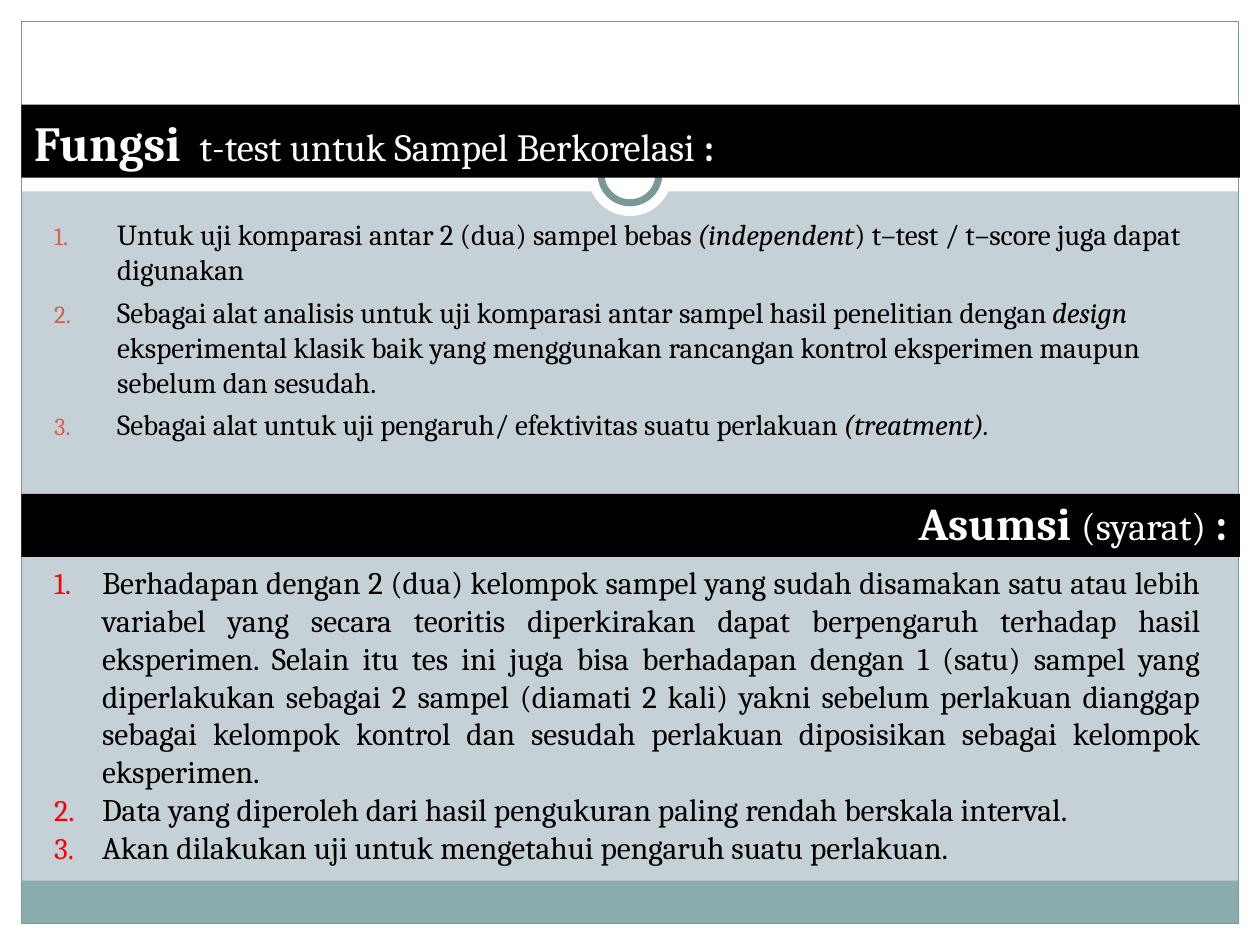
from dataclasses import dataclass

from lxml import etree
from pptx import Presentation
from pptx.dml.color import RGBColor
from pptx.enum.dml import MSO_LINE
from pptx.enum.shapes import MSO_CONNECTOR, MSO_SHAPE
from pptx.enum.text import MSO_ANCHOR, MSO_AUTO_SIZE, PP_ALIGN
from pptx.oxml.ns import qn
from pptx.util import Inches, Pt

RECTANGLE, OVAL = MSO_SHAPE.RECTANGLE, MSO_SHAPE.OVAL
STRAIGHT, DASHED = MSO_CONNECTOR.STRAIGHT, MSO_LINE.SQUARE_DOT
LEFT, RIGHT, JUSTIFY = PP_ALIGN.LEFT, PP_ALIGN.RIGHT, PP_ALIGN.JUSTIFY
TOP, BOTTOM, NO_FIT = MSO_ANCHOR.TOP, MSO_ANCHOR.BOTTOM, MSO_AUTO_SIZE.NONE


@dataclass(frozen=True)
class Theme:
    font: str = "Cambria"
    paper: str = "C5D1D7"
    white: str = "FFFFFF"
    black: str = "000000"
    band: str = "8CADAE"
    rule: str = "7B9899"
    orange: str = "D16349"
    red: str = "FF0000"
    heading: float = 28
    subheading: float = 26
    detail: float = 22
    functions: float = 16.6
    assumptions: float = 18
    hairline: float = 0.74
    ring: float = 4


THEME = Theme()
TWO_CONTENT = 3
WIDTH, HEIGHT, MARGIN = 10, 7.5, 0.17

FUNCTIONS = [
    [("Untuk uji komparasi antar 2 (dua) sampel bebas ", {}),
     ("(independent", {"italic": True}),
     (") t–test / t–score juga dapat digunakan ", {})],
    [("Sebagai alat analisis untuk uji komparasi antar sampel hasil penelitian dengan ", {}),
     ("design", {"italic": True}),
     (" eksperimental klasik baik yang menggunakan rancangan kontrol eksperimen "
      "maupun sebelum dan sesudah. ", {})],
    [("Sebagai alat untuk uji pengaruh/ efektivitas suatu perlakuan ", {}),
     ("(treatment). ", {"italic": True})],
]
ASSUMPTIONS = [
    [("Berhadapan dengan 2 (dua) kelompok sampel yang sudah disamakan satu atau lebih "
      "variabel yang secara teoritis diperkirakan dapat berpengaruh terhadap hasil "
      "eksperimen. Selain itu tes ini juga bisa berhadapan dengan 1 (satu) sampel yang "
      "diperlakukan sebagai 2 sampel (diamati 2 kali) yakni sebelum perlakuan dianggap "
      "sebagai kelompok kontrol dan sesudah perlakuan diposisikan sebagai kelompok "
      "eksperimen.", {})],
    [("Data yang diperoleh dari hasil pengukuran paling rendah berskala interval.", {})],
    [("Akan dilakukan uji untuk mengetahui pengaruh suatu perlakuan.", {})],
]
HEADING = [
    ("Fungsi ", {"size": Pt(THEME.heading), "bold": True}),
    (" t-test untuk Sampel Berkorelasi ", {"size": Pt(THEME.detail), "bold": False}),
    (":", {"size": Pt(THEME.detail), "bold": True}),
]
SUBHEADING = [
    ("Asumsi ", {"size": Pt(THEME.subheading), "bold": True}),
    ("(syarat) ", {"size": Pt(THEME.detail), "bold": False}),
    (":", {"size": Pt(THEME.subheading), "bold": True}),
]


def apply(target, values):
    for name, value in values.items():
        setattr(target, name, value)


def color(value):
    return RGBColor.from_string(value)


def place(part, box):
    apply(part, dict(zip(("left", "top", "width", "height"), map(Inches, box))))


def paint(part, fill=None, line=None, weight=THEME.hairline):
    if fill:
        part.fill.solid()
        part.fill.fore_color.rgb = color(fill)
    else:
        part.fill.background()
    if line:
        part.line.color.rgb = color(line)
        part.line.width = Pt(weight)
    else:
        part.line.fill.background()


def add_panel(slide, box, preset=RECTANGLE, **paint_values):
    panel = slide.shapes.add_shape(preset, *map(Inches, box))
    panel.shadow.inherit = False
    paint(panel, **paint_values)
    return panel


def bring_forward(part):
    part.element.getparent().append(part.element)


def write_runs(paragraph, runs, ink, size=None):
    for text, values in runs:
        run = paragraph.add_run()
        run.text = text
        apply(run.font, {"name": THEME.font, "size": size, **values})
        run.font.color.rgb = color(ink)


def number(paragraph, ink, percent, indent):
    properties = paragraph._p.get_or_add_pPr()
    properties.set("marL", str(Inches(indent)))
    properties.set("indent", str(-Inches(indent)))
    bullet_color = etree.SubElement(properties, qn("a:buClr"))
    for parent, tag, values in (
        (bullet_color, "a:srgbClr", {"val": ink}),
        (properties, "a:buSzPct", {"val": str(percent * 1000)}),
        (properties, "a:buFont", {"typeface": THEME.font}),
        (properties, "a:buAutoNum", {"type": "arabicPeriod"}),
    ):
        etree.SubElement(parent, qn(tag), values)


def draw_backdrop(slide, width, height):
    slide.background.fill.solid()
    slide.background.fill.fore_color.rgb = color(THEME.paper)
    inner_width, inner_height = width - 2 * MARGIN, height - 2 * MARGIN
    for box in (
        (0, height - MARGIN, width, MARGIN),
        (0, 0, width, 1.52),
        (0, 0, MARGIN, height),
        (width - MARGIN, 0, MARGIN, height),
    ):
        add_panel(slide, box, fill=THEME.white)
    add_panel(slide, (MARGIN, 6.99, inner_width, 0.34), fill=THEME.band)
    add_panel(slide, (MARGIN, MARGIN, inner_width, inner_height), line=THEME.rule)
    divider = slide.shapes.add_connector(
        STRAIGHT, *map(Inches, (MARGIN, 1.4, width - MARGIN, 1.4)))
    divider.line.color.rgb = color(THEME.rule)
    apply(divider.line, {"width": Pt(THEME.hairline), "dash_style": DASHED})
    etree.SubElement(divider.element.spPr, qn("a:effectLst"))
    center, middle = width / 2, 1.38
    for diameter, line in ((0.67, None), (0.46, THEME.rule)):
        radius = diameter / 2
        add_panel(slide, (center - radius, middle - radius, diameter, diameter), OVAL,
                  fill=THEME.white, line=line, weight=THEME.ring)


def fill_banner(banner, box, runs, alignment, spacing):
    place(banner, box)
    paint(banner, fill=THEME.black)
    apply(banner.text_frame, {"word_wrap": True, "auto_size": NO_FIT,
                              "vertical_anchor": BOTTOM})
    paragraph = banner.text_frame.paragraphs[0]
    apply(paragraph, {"alignment": alignment, "line_spacing": spacing})
    write_runs(paragraph, runs, THEME.white)


def fill_list(holder, box, items, size, alignment, before, bullet):
    place(holder, box)
    frame = holder.text_frame
    apply(frame, {"word_wrap": True, "auto_size": NO_FIT, "vertical_anchor": TOP})
    for index, runs in enumerate(items):
        paragraph = frame.add_paragraph() if index else frame.paragraphs[0]
        apply(paragraph, {"alignment": alignment, "line_spacing": 1.0,
                          "space_before": Pt(before), "space_after": Pt(0)})
        number(paragraph, *bullet)
        write_runs(paragraph, runs, THEME.black, Pt(size))


def build():
    deck = Presentation()
    apply(deck, {"slide_width": Inches(WIDTH), "slide_height": Inches(HEIGHT)})
    slide = deck.slides.add_slide(deck.slide_layouts[TWO_CONTENT])
    title, functions, assumptions = list(slide.placeholders)
    draw_backdrop(slide, WIDTH, HEIGHT)
    for part in (title, functions, assumptions):
        bring_forward(part)
    fill_banner(title, (MARGIN, 0.83, 9.67, 0.58), HEADING, LEFT, 1.0)
    fill_list(functions, (0.33, 1.67, 9.3, 2.16), FUNCTIONS, THEME.functions,
              LEFT, 4.5, (THEME.orange, 85, 0.5))
    fill_list(assumptions, (0.33, 4.42, 9.3, 2.58), ASSUMPTIONS, THEME.assumptions,
              JUSTIFY, 0, (THEME.red, 95, 0.38))
    subheading_box = (MARGIN, 3.92, 9.67, 0.5)
    fill_banner(add_panel(slide, subheading_box), subheading_box, SUBHEADING, RIGHT, 0.9)
    deck.save("out.pptx")


build()
